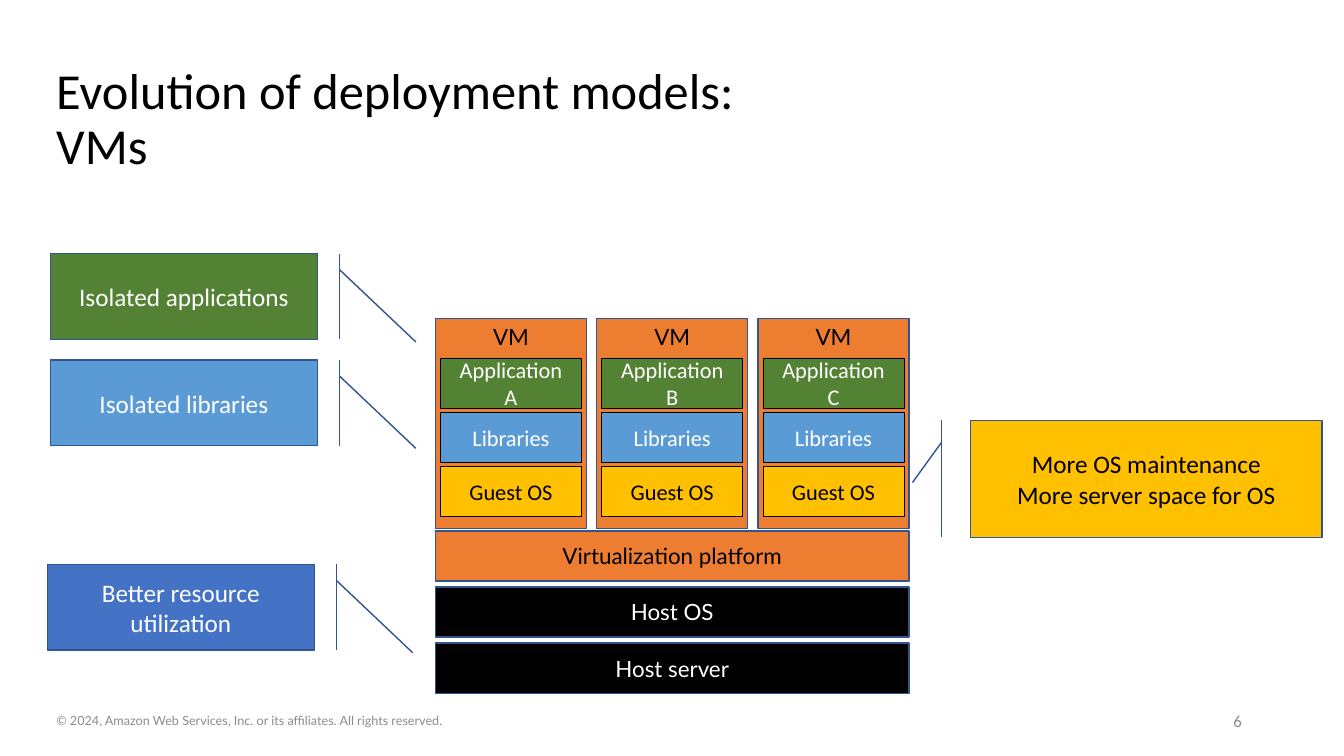
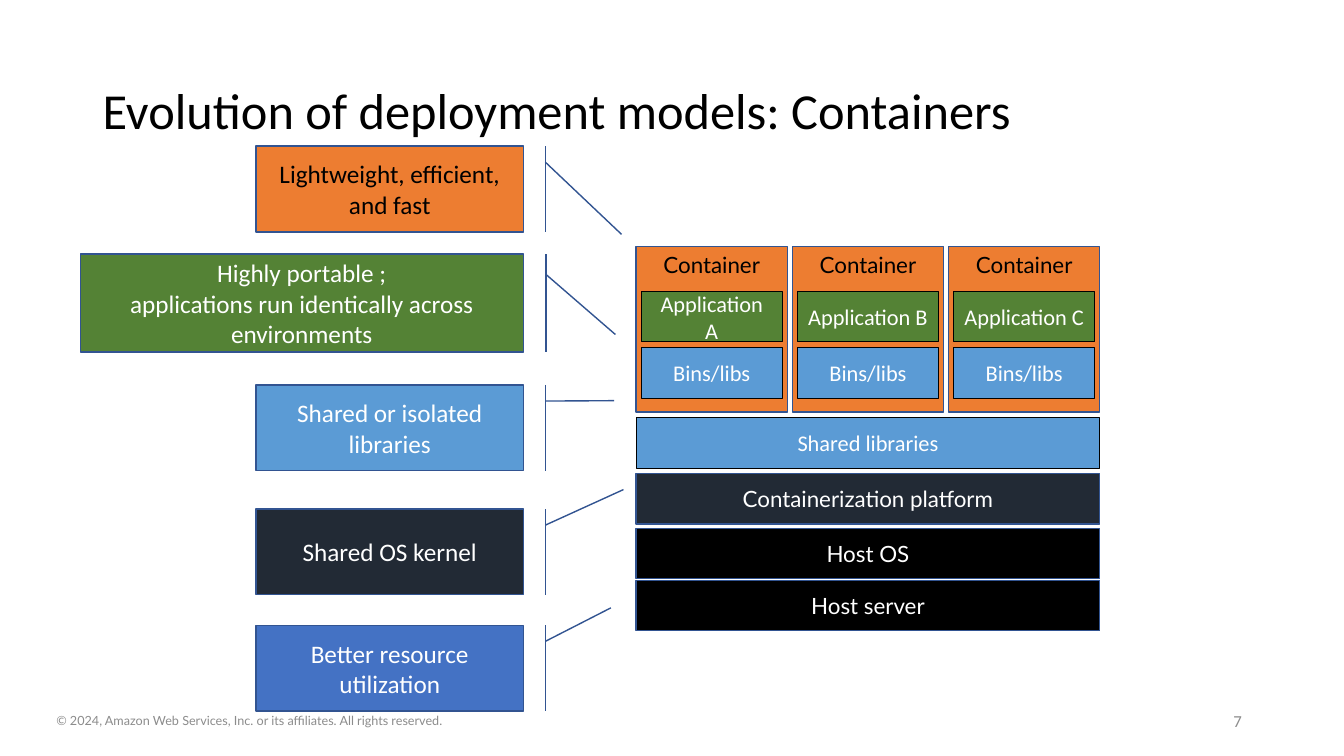
"""Build two slides comparing virtual machines and containers as deployment models."""
from pptx import Presentation
from pptx.dml.color import RGBColor
from pptx.enum.shapes import MSO_SHAPE
from pptx.enum.text import MSO_ANCHOR, PP_ALIGN
from pptx.oxml.ns import qn
from pptx.util import Pt

BLACK = RGBColor(0x00, 0x00, 0x00)
WHITE = RGBColor(0xFF, 0xFF, 0xFF)
GRAY = RGBColor(0x8C, 0x8C, 0x8C)
NAVY = RGBColor(0x32, 0x54, 0x91)
ORANGE = RGBColor(0xED, 0x7D, 0x31)
GREEN = RGBColor(0x54, 0x82, 0x35)
SKY = RGBColor(0x5B, 0x9B, 0xD5)
BLUE = RGBColor(0x44, 0x72, 0xC4)
GOLD = RGBColor(0xFF, 0xC0, 0x00)
SLATE = RGBColor(0x22, 0x2A, 0x35)
LIGHT_FILLS = (ORANGE, GOLD)

RECTANGLE = MSO_SHAPE.RECTANGLE
CALLOUT = MSO_SHAPE.LINE_CALLOUT_1_BORDER_AND_ACCENT_BAR
LEFT, CENTER, RIGHT = PP_ALIGN.LEFT, PP_ALIGN.CENTER, PP_ALIGN.RIGHT
TOP, MIDDLE = MSO_ANCHOR.TOP, MSO_ANCHOR.MIDDLE

TITLE_FONT = {"name": "Calibri", "size": Pt(36)}
LAYER_FONT = {"name": "Lato", "size": Pt(16)}
PART_FONT = {"name": "Calibri", "size": Pt(16)}
CALLOUT_FONT = {"name": "Calibri", "size": Pt(18)}
COPYRIGHT_FONT = {"name": "Lato", "size": Pt(9)}
NUMBER_FONT = {"name": "Calibri", "size": Pt(12)}

LAYER_LINE = (NAVY, 1)
PART_LINE = (BLACK, 0.5)
LAYER = (LAYER_FONT, LAYER_LINE)
PART = (PART_FONT, PART_LINE)

ROW_HEIGHT = 36
UNIT_WIDTH = 108
PART_WIDTH = 100.8
PART_INSET = (UNIT_WIDTH - PART_WIDTH) / 2
CALLOUT_SIZE = (190.8, 61.2)
ACCENT = (0.188, -0.083)
DOWNWARD = (*ACCENT, 1.03, -0.368)

COPYRIGHT = "© 2024, Amazon Web Services, Inc. or its affiliates. All rights reserved."


def write_text(shape, text, font, color, align=CENTER, anchor=MIDDLE, spacing=1.0):
    """Fill a shape with text in one format."""
    frame = shape.text_frame
    frame.word_wrap = True
    frame.vertical_anchor = anchor
    frame.text = text
    for paragraph in frame.paragraphs:
        paragraph.alignment = align
        paragraph.line_spacing = spacing
        for attribute, value in font.items():
            setattr(paragraph.font, attribute, value)
        paragraph.font.color.rgb = color


def add_label(slide, box, text, font, color, align=LEFT, spacing=1.0):
    """Add a text box, placed by its left, top, width and height."""
    label = slide.shapes.add_textbox(*map(Pt, box))
    write_text(label, text, font, color, align, spacing=spacing)


def add_block(slide, box, text, fill, style=LAYER, anchor=MIDDLE, preset=RECTANGLE):
    """Add a filled, outlined block with a text colour that suits its fill."""
    font, (line_color, line_width) = style
    block = slide.shapes.add_shape(preset, *map(Pt, box))
    block.shadow.inherit = False
    block.fill.solid()
    block.fill.fore_color.rgb = fill
    block.line.color.rgb = line_color
    block.line.width = Pt(line_width)
    write_text(block, text, font, BLACK if fill in LIGHT_FILLS else WHITE, anchor=anchor)
    return block


def add_callout(slide, corner, text, fill, pointer=DOWNWARD, size=CALLOUT_SIZE, mirrored=True):
    """Add a callout whose pointer leaves from its right side when mirrored."""
    callout = add_block(slide, (*corner, *size), text, fill,
                        (CALLOUT_FONT, LAYER_LINE), preset=CALLOUT)
    for index, value in enumerate(pointer):
        callout.adjustments[index] = value
    if mirrored:
        callout.element.spPr.find(qn("a:xfrm")).set("flipH", "1")


def add_units(slide, heading, corner, height, pitch, part_top, part_pitch, columns):
    """Add a row of isolated units, each holding a column of parts."""
    left, top = corner
    for column, parts in enumerate(columns):
        unit_left = left + column * pitch
        add_block(slide, (unit_left, top, UNIT_WIDTH, height), heading, ORANGE, anchor=TOP)
        for row, (text, fill) in enumerate(parts):
            box = (unit_left + PART_INSET, part_top + row * part_pitch, PART_WIDTH, ROW_HEIGHT)
            add_block(slide, box, text, fill, PART)


def add_layers(slide, left, width, layers):
    """Add the full-width layers beneath the units."""
    for top, text, fill, style in layers:
        add_block(slide, (left, top, width, ROW_HEIGHT), text, fill, style)


def start_slide(deck, title, title_box, number):
    """Add a blank slide with the shared title and footer."""
    slide = deck.slides.add_slide(deck.slide_layouts[6])
    add_label(slide, title_box, title, TITLE_FONT, BLACK, spacing=0.9)
    add_label(slide, (33.1, 500.4, 294.5, 28.8), COPYRIGHT, COPYRIGHT_FONT, GRAY)
    add_label(slide, (678.2, 500.4, 216, 28.8), str(number), NUMBER_FONT, GRAY, RIGHT)
    return slide


def build_vms(deck):
    """Build the virtual machine slide."""
    slide = start_slide(deck, "Evolution of deployment models:\vVMs",
                        (33.1, 28.8, 851.8, 114.5), 6)
    stack_left = 311
    add_layers(slide, stack_left, 338.4, (
        (379.2, "Virtualization platform", ORANGE, LAYER),
        (419.2, "Host OS", BLACK, LAYER),
        (459.2, "Host server", BLACK, LAYER),
    ))
    add_units(slide, "VM", (stack_left, 227.5), 149.8, 115.2, 255.7, 38.6, [
        ((f"Application\v{letter}", GREEN), ("Libraries", SKY), ("Guest OS", GOLD))
        for letter in "ABC"
    ])
    add_callout(slide, (36, 181.2), "Isolated applications", GREEN)
    add_callout(slide, (36, 257.2), "Isolated libraries", SKY)
    add_callout(slide, (33.8, 403.2), "Better resource utilization", BLUE)
    add_callout(slide, (693.4, 300.2), "More OS maintenance\nMore server space for OS", GOLD,
                (*ACCENT, 0.532, -0.166), (250.8, 83.6), mirrored=False)


def build_containers(deck):
    """Build the container slide."""
    slide = start_slide(deck, "Evolution of deployment models: Containers",
                        (66.2, 28.8, 828, 104.4), 7)
    stack_left = 454.4
    add_layers(slide, stack_left, 331.2, (
        (298.4, "Shared libraries", SKY, PART),
        (338.4, "Containerization platform", SLATE, LAYER),
        (377.4, "Host OS", BLACK, LAYER),
        (414.6, "Host server", BLACK, LAYER),
    ))
    add_units(slide, "Container", (stack_left, 176.2), 118.2, 111.6, 208.2, 40.2, [
        ((name, GREEN), ("Bins/libs", SKY))
        for name in ("Application\vA", "Application B", "Application C")
    ])
    callout_left = 183
    add_callout(slide, (callout_left, 104.4), "Lightweight, efficient, and fast", ORANGE)
    add_callout(slide, (57.4, 181.6),
                "Highly portable ;\vapplications run identically across environments", GREEN,
                (0.206, -0.051, 0.822, -0.208), (316.4, 69.8))
    for top, text, fill, tip in (
        (275, "Shared or isolated libraries", SKY, (0.183, -0.34)),
        (363.6, "Shared OS kernel", SLATE, (-0.227, -0.375)),
        (446.6, "Better resource utilization", BLUE, (-0.203, -0.328)),
    ):
        add_callout(slide, (callout_left, top), text, fill, (*ACCENT, *tip))


def main():
    """Assemble and save the deck."""
    deck = Presentation()
    deck.slide_width, deck.slide_height = Pt(960), Pt(540)
    build_vms(deck)
    build_containers(deck)
    deck.save("out.pptx")


if __name__ == "__main__":
    main()
